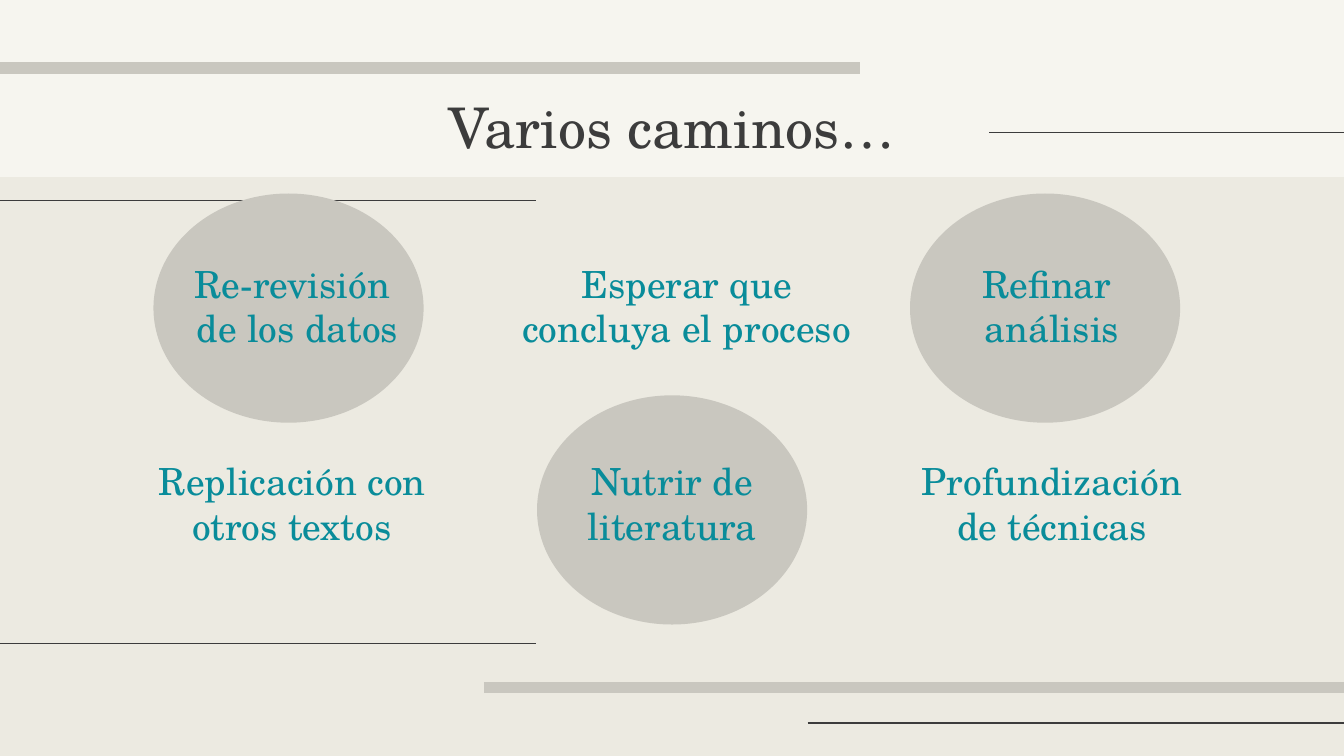
from lxml.etree import SubElement
from pptx import Presentation
from pptx.dml.color import RGBColor
from pptx.enum.shapes import MSO_CONNECTOR, MSO_SHAPE
from pptx.enum.text import MSO_ANCHOR, PP_ALIGN
from pptx.oxml.ns import qn
from pptx.util import Pt

# Content
HEADING = "Varios caminos…"
PATHS = [  # rows of the grid, left to right
    ["Re-revisión\n de los datos", "Esperar que concluya el proceso", "Refinar \nanálisis"],
    ["Replicación con otros textos", "Nutrir de literatura", "Profundización de técnicas"],
]
COLORS = {"paper": "F6F5EF", "panel": "ECEAE1", "gray": "C9C7BF",
          "ink": "3C3C3C", "teal": "098C9A"}
FONT = "TeX Gyre Schola"

# Layout, in points
WIDTH, HEIGHT = 720, 405
PANEL_TOP = 94.9
RULES = [  # start x, end x, y, color, weight
    (0, 460.8, 36.5, "gray", 6),
    (259.2, WIDTH, 368.4, "gray", 6),
    (529.9, WIDTH, 71, "ink", 0.75),
    (432.7, WIDTH, 387.3, "ink", 0.75),
    (0, 286.9, 107.3, "ink", 0.75),
    (0, 286.9, 344.8, "ink", 0.75),
]
OVALS = [(287.7, 211.8), (487.5, 103.7), (82.2, 103.7)]
OVAL_SIZE = (144.7, 122.8)
GRID_LEFT, GRID_TOP = 70.6, 132.5
COLUMN_STEP, ROW_STEP = 203.5, 106
LABEL_WIDTH, LABEL_HEIGHT = 172, 41.8
WIDE_LABELS = {(0, 1): (-7, 201.6)}  # (row, column): left shift, width


def color(name):
    return RGBColor.from_string(COLORS[name])


def add_plain(kind, left, top, width, height, fill):
    shape = slide.shapes.add_shape(kind, Pt(left), Pt(top), Pt(width), Pt(height))
    shape.shadow.inherit = False
    shape.fill.solid()
    shape.fill.fore_color.rgb = color(fill)
    shape.line.fill.background()


def add_rule(start, end, y, ink, weight):
    rule = slide.shapes.add_connector(MSO_CONNECTOR.STRAIGHT, Pt(start), Pt(y), Pt(end), Pt(y))
    rule.line.color.rgb = color(ink)
    rule.line.width = Pt(weight)
    SubElement(rule._element.spPr, qn("a:effectLst"))


def add_label(text, left, top, width, height, size, ink):
    frame = slide.shapes.add_textbox(Pt(left), Pt(top), Pt(width), Pt(height)).text_frame
    frame.word_wrap = True
    frame.vertical_anchor = MSO_ANCHOR.TOP
    frame.margin_left = frame.margin_right = Pt(7.2)
    frame.margin_top = frame.margin_bottom = Pt(7.2)
    frame.text = text
    for paragraph in frame.paragraphs:
        paragraph.alignment = PP_ALIGN.CENTER
        for run in paragraph.runs:
            run.font.name = FONT
            run.font.size = Pt(size)
            run.font.color.rgb = color(ink)


deck = Presentation()
deck.slide_width, deck.slide_height = Pt(WIDTH), Pt(HEIGHT)
slide = deck.slides.add_slide(deck.slide_layouts[6])
slide.background.fill.solid()
slide.background.fill.fore_color.rgb = color("paper")

# Backdrop: lower panel, rules and ovals
add_plain(MSO_SHAPE.RECTANGLE, 0, PANEL_TOP, WIDTH, HEIGHT - PANEL_TOP, "panel")
for rule in RULES:
    add_rule(*rule)
for left, top in OVALS:
    add_plain(MSO_SHAPE.OVAL, left, top, *OVAL_SIZE, "gray")

# Heading and grid of paths
add_label(HEADING, 56.2, 42.5, 607.6, 52.5, 30, "ink")
for row, labels in enumerate(PATHS):
    for column, label in enumerate(labels):
        shift, width = WIDE_LABELS.get((row, column), (0, LABEL_WIDTH))
        add_label(label, GRID_LEFT + column * COLUMN_STEP + shift,
                  GRID_TOP + row * ROW_STEP, width, LABEL_HEIGHT, 20, "teal")

deck.save("out.pptx")
